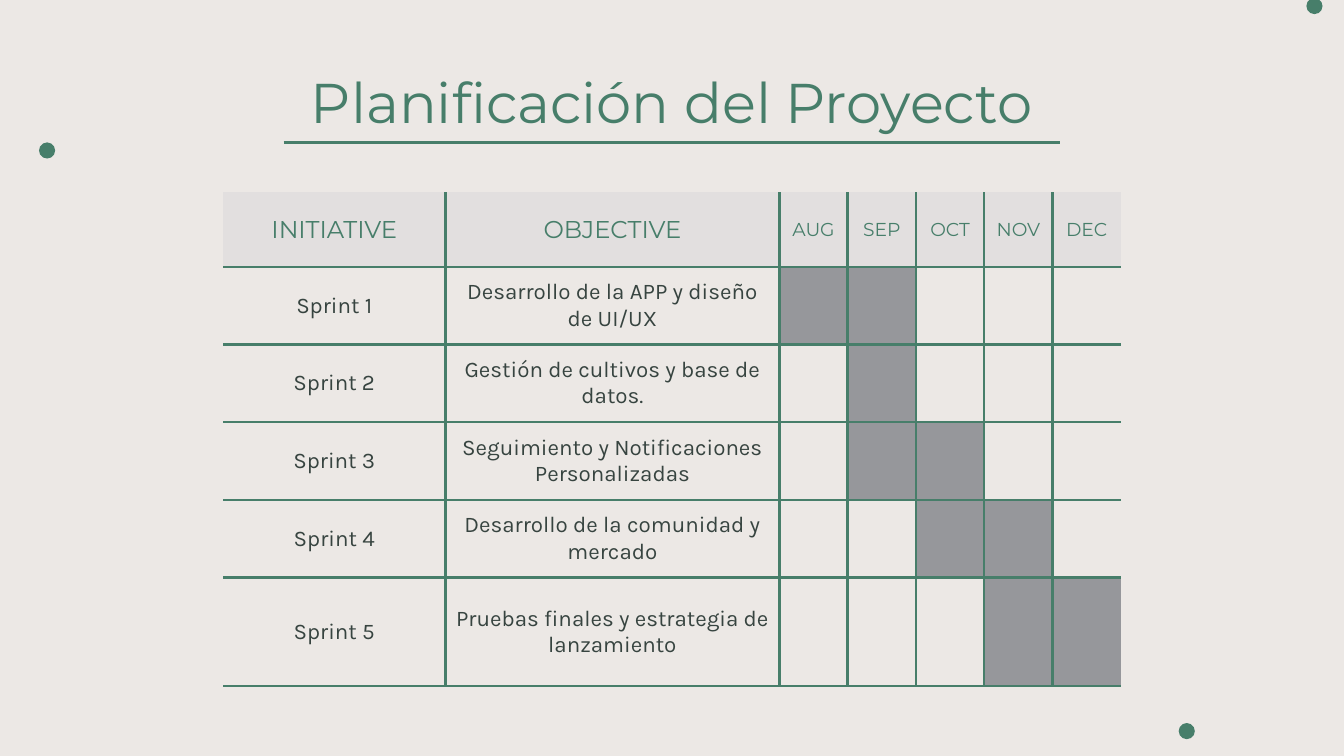
"""Build a project planning slide with a sprint timetable."""
from dataclasses import dataclass

from lxml import etree
from pptx import Presentation
from pptx.dml.color import RGBColor
from pptx.enum.shapes import MSO_CONNECTOR, MSO_SHAPE
from pptx.enum.text import MSO_ANCHOR, PP_ALIGN
from pptx.oxml.ns import qn
from pptx.util import Inches, Pt

CENTER = PP_ALIGN.CENTER
TOP, MIDDLE = MSO_ANCHOR.TOP, MSO_ANCHOR.MIDDLE
STRAIGHT = MSO_CONNECTOR.STRAIGHT
OVAL = MSO_SHAPE.OVAL
BLANK_LAYOUT = 6
GRID_COLUMNS, GRID_ROWS = 100, 56.25


@dataclass(frozen=True)
class Theme:
    """Colours, fonts and type sizes."""
    paper: str = "ECE8E5"
    green: str = "477E6A"
    ink: str = "374440"
    header: str = "E2DFDF"
    active: str = "96979B"
    display: str = "Montserrat"
    body: str = "Karla"
    title_size: float = 30
    header_size: float = 13
    month_size: float = 10
    body_size: float = 12
    rule: float = 1.5


THEME = Theme()
DOTS = [(2.9, 10.6), (97.2, -0.15), (87.7, 53.8)]
DOT_SIZE = 1.2
HEADINGS = ["INITIATIVE", "OBJECTIVE"]
MONTHS = ["AUG", "SEP", "OCT", "NOV", "DEC"]
SPRINTS = [
    ("Desarrollo de la APP y diseño de UI/UX", {"AUG", "SEP"}),
    ("Gestión de cultivos y base de datos.", {"SEP"}),
    ("Seguimiento y Notificaciones\nPersonalizadas", {"SEP", "OCT"}),
    ("Desarrollo de la comunidad y mercado", {"OCT", "NOV"}),
    ("Pruebas finales y estrategia de lanzamiento", {"NOV", "DEC"}),
]
COLUMN_WIDTHS = [16.55, 24.85] + [5.08] * len(MONTHS)
ROW_HEIGHTS = [5.55] + [5.78] * (len(SPRINTS) - 1) + [8.08]


def grid(*cells):
    """Turn counts of grid cells into lengths."""
    return [Inches(cell / 10) for cell in cells]


def color(code):
    """Return the colour for a hex code."""
    return RGBColor.from_string(code)


def write(frame, text, font=THEME.body, size=THEME.body_size, ink=THEME.ink):
    """Write centred paragraphs, one for each line of text."""
    for index, line in enumerate(text.split("\n")):
        para = frame.add_paragraph() if index else frame.paragraphs[0]
        para.alignment = CENTER
        span = para.add_run()
        span.text = line
        span.font.name = font
        span.font.size = Pt(size)
        span.font.bold = False
        span.font.color.rgb = color(ink)


def add_dot(page, left, top):
    """Add a decorative green dot."""
    dot = page.shapes.add_shape(OVAL, *grid(left, top, DOT_SIZE, DOT_SIZE))
    dot.shadow.inherit = False
    dot.fill.solid()
    dot.fill.fore_color.rgb = color(THEME.green)
    dot.line.fill.background()


def add_title(page, text):
    """Add the slide title."""
    box = page.shapes.add_textbox(*grid(7.85, 4, 84.3, 6))
    frame = box.text_frame
    frame.word_wrap = True
    frame.vertical_anchor = TOP
    frame.margin_left = frame.margin_right = Inches(0.1)
    frame.margin_top = frame.margin_bottom = Inches(0.1)
    write(frame, text, THEME.display, THEME.title_size, THEME.green)


def add_rule(page, left, right, top):
    """Add a horizontal rule without a shadow."""
    rule = page.shapes.add_connector(STRAIGHT, *grid(left, top, right, top))
    rule.line.color.rgb = color(THEME.green)
    rule.line.width = Pt(THEME.rule)
    etree.SubElement(rule._element.spPr, qn("a:effectLst"))


def set_borders(cell, shown):
    """Draw the shown sides of a cell and clear the others."""
    properties = cell._tc.get_or_add_tcPr()
    for side in "LRTB":
        edge = etree.SubElement(properties, qn(f"a:ln{side}"), w=str(Pt(THEME.rule)))
        if side in shown:
            fill = etree.SubElement(edge, qn("a:solidFill"))
            etree.SubElement(fill, qn("a:srgbClr"), val=THEME.green)
        else:
            etree.SubElement(edge, qn("a:noFill"))


def style_cell(cell, fill, inset, shown):
    """Set the borders, fill, insets and anchor of a cell."""
    set_borders(cell, shown)
    cell.fill.solid()
    cell.fill.fore_color.rgb = color(fill)
    cell.margin_left = cell.margin_right = Inches(inset)
    cell.margin_top = cell.margin_bottom = Inches(inset)
    cell.vertical_anchor = MIDDLE


def inner_sides(row, column):
    """Name the sides of a cell that carry a line."""
    left = "L" if column else ""
    right = "R" if column < len(COLUMN_WIDTHS) - 1 else ""
    top = "T" if row else ""
    return left + right + top + "B"


def add_timetable(page):
    """Add the table of sprints and their active months."""
    size = sum(COLUMN_WIDTHS), sum(ROW_HEIGHTS)
    table = page.shapes.add_table(
        len(ROW_HEIGHTS), len(COLUMN_WIDTHS), *grid(16.6, 14.3, *size)).table
    table.first_row = table.horz_banding = False
    for column, width in zip(table.columns, grid(*COLUMN_WIDTHS)):
        column.width = width
    for row, height in zip(table.rows, grid(*ROW_HEIGHTS)):
        row.height = height

    for column, label in enumerate(HEADINGS + MONTHS):
        cell = table.cell(0, column)
        style_cell(cell, THEME.header, 0, inner_sides(0, column))
        size = THEME.month_size if label in MONTHS else THEME.header_size
        write(cell.text_frame, label, THEME.display, size, THEME.green)

    for row, (objective, active) in enumerate(SPRINTS, start=1):
        labels = [f"Sprint {row}", objective]
        for column, heading in enumerate(HEADINGS + MONTHS):
            cell = table.cell(row, column)
            fill = THEME.active if heading in active else THEME.paper
            style_cell(cell, fill, 0.05, inner_sides(row, column))
            if column < len(labels):
                write(cell.text_frame, labels[column])


def main():
    """Build and save the deck."""
    deck = Presentation()
    deck.slide_width, deck.slide_height = grid(GRID_COLUMNS, GRID_ROWS)
    page = deck.slides.add_slide(deck.slide_layouts[BLANK_LAYOUT])
    page.background.fill.solid()
    page.background.fill.fore_color.rgb = color(THEME.paper)
    for left, top in DOTS:
        add_dot(page, left, top)
    add_title(page, "Planificación del Proyecto")
    add_timetable(page)
    add_rule(page, 21.1, 78.9, 10.6)
    deck.save("out.pptx")


if __name__ == "__main__":
    main()
